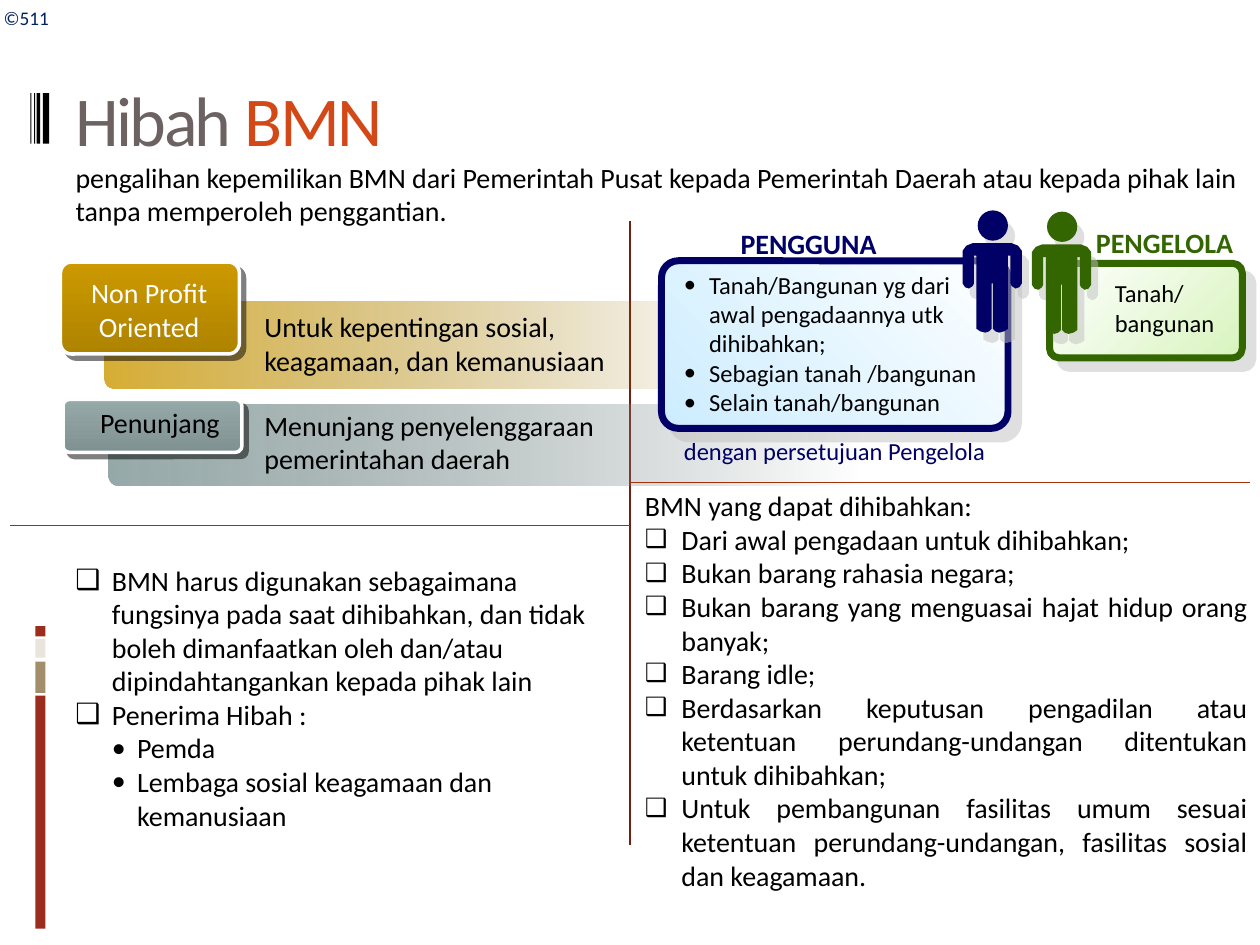
from lxml.etree import SubElement
from pptx import Presentation
from pptx.dml.color import RGBColor
from pptx.enum.shapes import MSO_CONNECTOR, MSO_SHAPE
from pptx.enum.text import MSO_ANCHOR, MSO_AUTO_SIZE, PP_ALIGN
from pptx.oxml.ns import qn
from pptx.util import Inches, Pt

COLORS = {
    "black": "000000", "white": "FFFFFF", "near_white": "FEFEFE", "navy": "002060",
    "brick": "9B2D1F", "tan": "A28E6A", "cream": "E9E5DC", "maroon": "751D12",
    "rust": "A0310A", "title": "6C6262", "orange": "D34817",
    "gold": "CC9900", "gold_dark": "AE8300", "gold_end": "926D00",
    "slate": "96A9A9", "slate_dark": "809191", "slate_end": "6B7979",
    "blue": "000066", "sky": "CCECFF", "green": "336600", "lime": "D8F4BE",
    "shade": "C0C0C0",
}
HALF_BODY = [(0.08, 0), (0.03, 0.02), (0, 0.06), (0, 0.32), (0.02, 0.35), (0.05, 0.36),
             (0.08, 0.34), (0.09, 0.32), (0.09, 0.1), (0.11, 0.1), (0.11, 0.68),
             (0.14, 0.7), (0.18, 0.71), (0.21, 0.7), (0.23, 0.68), (0.23, 0.32)]
BODY_WIDTH = 0.47


def rgb(name):
    """Return the named colour."""
    return RGBColor.from_string(COLORS[name])


def inches(box):
    """Turn a box of inch numbers into lengths."""
    return [Inches(v) for v in box]


def add_shadow(shape, color, dist, angle):
    """Give a shape a hard, half transparent shadow."""
    effects = shape._element.spPr.find(qn("a:effectLst"))
    shadow = SubElement(effects, qn("a:outerShdw"), blurRad="0", dist=str(Pt(dist)),
                        dir=str(angle * 60000), algn="ctr", rotWithShape="0")
    clr = SubElement(shadow, qn("a:srgbClr"), val=COLORS[color])
    SubElement(clr, qn("a:alpha"), val="50000")


def add_block(shapes, kind, box, color=None):
    """Add a preset shape without line or shadow."""
    sp = shapes.add_shape(kind, *inches(box))
    sp.shadow.inherit = False
    sp.line.fill.background()
    if color:
        sp.fill.solid()
        sp.fill.fore_color.rgb = rgb(color)
    return sp


def add_rounded(shapes, box, radius, stops, angle, line=None, alphas=(100, 100)):
    """Add a rounded rectangle with a two-colour gradient."""
    sp = add_block(shapes, MSO_SHAPE.ROUNDED_RECTANGLE, box)
    sp.adjustments[0] = radius
    sp.fill.gradient()
    sp.fill.gradient_angle = 360 - angle
    for stop, color in zip(sp.fill.gradient_stops, stops):
        stop.color.rgb = rgb(color)
    for clr, alpha in zip(sp._element.spPr.iter(qn("a:srgbClr")), alphas):
        if alpha < 100:
            SubElement(clr, qn("a:alpha"), val=str(alpha * 1000))
    if line:
        color, width = line
        sp.line.color.rgb = rgb(color)
        sp.line.width = Pt(width)
    return sp


def format_runs(p, size, color, bold=False):
    """Set font, size and colour on the runs of a paragraph."""
    for r in p.runs:
        r.font.name = "Calibri"
        r.font.size = Pt(size)
        r.font.bold = bold
        r.font.color.rgb = rgb(color)


def set_bullet(p, char, left, hang, percent=100):
    """Give a paragraph a bullet and a hanging indent."""
    pPr = p._p.get_or_add_pPr()
    pPr.set("marL", str(Inches(left)))
    pPr.set("indent", str(-Inches(hang)))
    SubElement(pPr, qn("a:buSzPct"), val=str(percent * 1000))
    SubElement(pPr, qn("a:buFont"), typeface="Calibri")
    SubElement(pPr, qn("a:buChar"), char=char)


def add_text(shapes, box, lines, size=16, color="black", align=PP_ALIGN.LEFT, bold=False, wrap=True):
    """Add a text box and return its paragraphs."""
    tf = shapes.add_textbox(*inches(box)).text_frame
    tf.word_wrap = wrap
    tf.text = "\n".join(lines)
    for p in tf.paragraphs:
        p.alignment = align
        format_runs(p, size, color, bold)
    return tf.paragraphs


def add_rule(shapes, start, end, color):
    """Add a thin straight line."""
    line = shapes.add_connector(MSO_CONNECTOR.STRAIGHT, *inches(start + end))
    line.line.color.rgb = rgb(color)
    line.line.width = Pt(0.75)
    SubElement(line._element.spPr, qn("a:effectLst"))


def add_margin_marks(shapes):
    """Draw the side bars, the title bars, the page mark and the middle rule."""
    for top, height, color in [(5.52, 1.85, "brick"), (5.25, 0.25, "tan"),
                               (5.07, 0.15, "cream"), (4.97, 0.08, "brick")]:
        add_block(shapes, MSO_SHAPE.RECTANGLE, (0.28, top, 0.08, height), color)
    for left, width in [(0.34, 0.05), (0.29, 0.03), (0.27, 0.01), (0.24, 0.01)]:
        add_block(shapes, MSO_SHAPE.RECTANGLE, (left, 0.74, width, 0.4), "black")
    add_text(shapes, (-0.07, 0, 0.61, 0.29), ["©511"], 11, "navy")
    add_rule(shapes, (5, 1.75), (5, 6.71), "maroon")


def fill_heading(s):
    """Place the title and the definition in the placeholders."""
    title, body = s.shapes.title, s.placeholders[1]
    title.left, title.top, title.width, title.height = inches((0.5, 0.23, 9, 1.42))
    body.left, body.top, body.width, body.height = inches((0.5, 1.22, 9.5, 0.7))
    title.text_frame.vertical_anchor = MSO_ANCHOR.MIDDLE
    p = title.text_frame.paragraphs[0]
    p.alignment = PP_ALIGN.LEFT
    for text in ("Hibah ", "BMN"):
        p.add_run().text = text
    format_runs(p, 40, "title")
    p.runs[1].font.color.rgb = rgb("orange")
    for r in p.runs:
        r._r.get_or_add_rPr().set("spc", "-150")
    body.fill.solid()
    body.fill.fore_color.rgb = rgb("white")
    body.text_frame.text = ("pengalihan kepemilikan BMN dari Pemerintah Pusat kepada Pemerintah Daerah "
                            "atau kepada pihak lain tanpa memperoleh penggantian.")
    p = body.text_frame.paragraphs[0]
    p.space_before = Pt(7)
    format_runs(p, 16, "black")
    pPr = p._p.get_or_add_pPr()
    pPr.set("marL", "0")
    pPr.set("indent", "0")
    SubElement(pPr, qn("a:buNone"))
    for sp in (title, body):
        sp.text_frame.auto_size = MSO_AUTO_SIZE.NONE


def add_purpose(shapes, strip, tab, hue, alpha, label_box, label, label_color, text_box, text):
    """Draw one purpose: a fading strip, its tab and their texts."""
    add_rounded(shapes, strip, 0.12, (hue, hue + "_end"), 0, alphas=(alpha, 0))
    sp = add_rounded(shapes, tab, 0.12, (hue, hue + "_dark"), 90, ("near_white", 2))
    add_shadow(sp, "black", 4.2, 45)
    add_text(shapes, text_box, [text])
    add_text(shapes, label_box, [label], color=label_color, align=PP_ALIGN.CENTER)


def add_person(shapes, left, top, color):
    """Draw a standing figure from its top left corner."""
    head = add_block(shapes, MSO_SHAPE.OVAL, (left + 0.12, top, 0.24, 0.24), color)
    outline = HALF_BODY + [(BODY_WIDTH - x, y) for x, y in reversed(HALF_BODY)]
    points = [(Inches(left + x), Inches(top + 0.26 + y)) for x, y in outline]
    builder = shapes.build_freeform(*points[0])
    builder.add_line_segments(points[1:], close=True)
    body = builder.convert_to_shape()
    body.shadow.inherit = False
    body.fill.solid()
    body.fill.fore_color.rgb = rgb(color)
    body.line.fill.background()
    for sp in (head, body):
        add_shadow(sp, "shade", 7.2, 56)


def add_role(shapes, box, stops, angle, color, person, name, name_box):
    """Draw the card of one role with its figure and name."""
    group = shapes.add_group_shape().shapes
    sp = add_rounded(group, box, 0.1, stops, angle, (color, 4))
    add_shadow(sp, "shade", 8.5, 45)
    add_person(group, *person, color)
    add_text(shapes, name_box, [name], color=color, bold=True, wrap=False)


def add_roles(shapes):
    """Draw the cards of the manager and the user."""
    add_role(shapes, (8.33, 2.09, 1.53, 0.75), ("white", "lime"), 45, "green",
             (8.19, 1.68), "PENGELOLA", (8.6, 1.74, 1.3, 0.37))
    add_text(shapes, (8.75, 2.16, 1, 0.57), ["Tanah/ bangunan"], 14)
    add_role(shapes, (5.25, 2.07, 2.75, 1.33), ("sky", "white"), 315, "blue",
             (7.64, 1.67), "PENGGUNA", (5.78, 1.75, 1.3, 0.37))
    for p in add_text(shapes, (5.33, 2.09, 2.67, 1.28), [
            "Tanah/Bangunan yg dari awal pengadaannya utk dihibahkan;",
            "Sebagian tanah /bangunan", "Selain tanah/bangunan"], 14):
        set_bullet(p, "•", 0.2, 0.2)
    add_text(shapes, (5.33, 3.41, 2.67, 0.33), ["dengan persetujuan Pengelola"], 14, "blue")


def add_lists(shapes):
    """Write the conditions on the right and the duties on the left."""
    conditions = add_text(shapes, (5.02, 3.83, 4.98, 3.33), [
        "BMN yang dapat dihibahkan:", "Dari awal pengadaan untuk dihibahkan;",
        "Bukan barang rahasia negara;", "Bukan barang yang menguasai hajat hidup orang banyak;",
        "Barang idle;",
        "Berdasarkan keputusan pengadilan atau ketentuan perundang-undangan ditentukan untuk dihibahkan;",
        "Untuk pembangunan fasilitas umum sesuai ketentuan perundang-undangan, "
        "fasilitas sosial dan keagamaan."], align=PP_ALIGN.JUSTIFY)
    for p in conditions[1:]:
        set_bullet(p, "❑", 0.29, 0.29, 90)
    duties = add_text(shapes, (0.5, 4.42, 4.42, 2.26), [
        "BMN harus digunakan sebagaimana fungsinya pada saat dihibahkan, dan tidak boleh "
        "dimanfaatkan oleh dan/atau dipindahtangankan kepada pihak lain",
        "Penerima Hibah :", "Pemda", "Lembaga sosial keagamaan dan kemanusiaan"])
    for p in duties[:2]:
        set_bullet(p, "❑", 0.29, 0.29)
    for p in duties[2:]:
        p.level = 1
        set_bullet(p, "•", 0.49, 0.2)
    add_rule(shapes, (5, 3.83), (9.92, 3.83), "rust")
    add_rule(shapes, (0.08, 4.17), (5, 4.17), "rust")


def main():
    """Build the slide and save it."""
    prs = Presentation()
    prs.slide_width, prs.slide_height = Inches(10), Inches(7.5)
    s = prs.slides.add_slide(prs.slide_layouts[1])
    fill_heading(s)
    add_margin_marks(s.shapes)
    add_purpose(s.shapes, (0.86, 3.21, 5.97, 0.64), (0.5, 3.17, 1.42, 0.42), "slate", 100,
                (0.58, 3.17, 1.33, 0.37), " Penunjang", "black",
                (2, 3.19, 2.92, 0.64), "Menunjang penyelenggaraan pemerintahan daerah")
    add_purpose(s.shapes, (0.83, 2.39, 5.17, 0.69), (0.48, 2.08, 1.42, 0.73), "gold", 80,
                (0.52, 2.14, 1.33, 0.64), "Non Profit Oriented", "near_white",
                (2, 2.41, 3.17, 0.64), "Untuk kepentingan sosial, keagamaan, dan kemanusiaan")
    add_roles(s.shapes)
    add_lists(s.shapes)
    prs.save("out.pptx")


if __name__ == "__main__":
    main()
